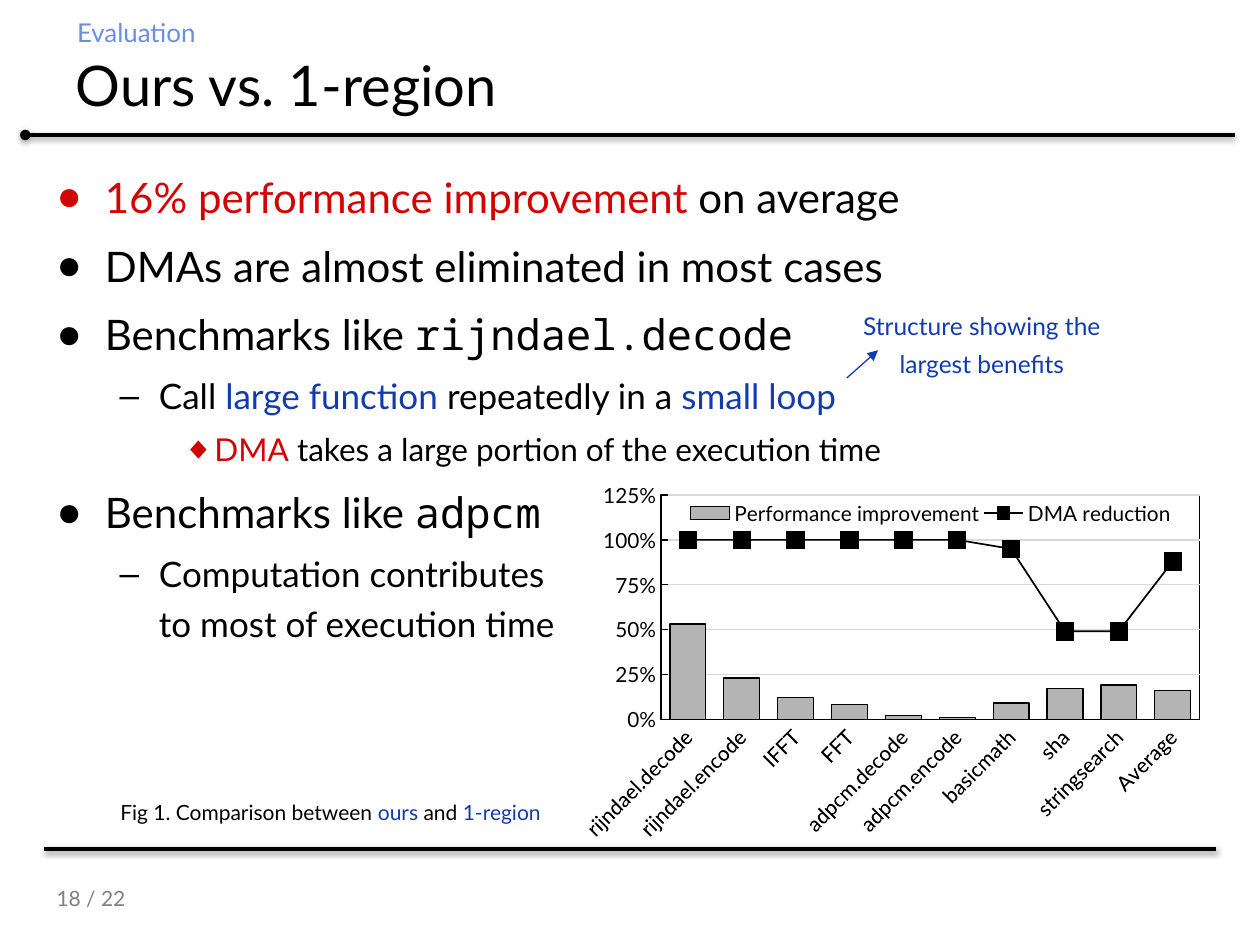
"""Build the evaluation slide comparing ours with the 1-region scheme."""
import lxml.etree
import pptx
import pptx.chart.data
import pptx.dml.color
import pptx.enum.chart
import pptx.enum.shapes
import pptx.enum.text
import pptx.oxml
import pptx.oxml.ns
import pptx.util

Cm, Pt = pptx.util.Cm, pptx.util.Pt
qn = pptx.oxml.ns.qn
SubElement = lxml.etree.SubElement
BLACK, RED, BLUE = "000000", "D30303", "123BAE"
SANS, MONO = "Lato", "Noto Sans Mono"


def rgb(code):
    return pptx.dml.color.RGBColor.from_string(code)


def add_runs(para, size, pieces):
    for words, color, font in pieces:
        for number, line in enumerate(words.split("\n")):
            if number:
                para.add_line_break()
                SubElement(para._p[-1], qn("a:rPr"), sz=str(size * 100))
            span = para.add_run()
            span.text = line
            span.font.size = Pt(size)
            span.font.name = font
            span.font.color.rgb = rgb(color)


deck = pptx.Presentation()
deck.slide_width, deck.slide_height = Cm(25.4), Cm(19.05)
slide = deck.slides.add_slide(deck.slide_layouts[3])
title, section, body = slide.placeholders

connectors = [
    (0.51, 2.72, 24.89, 2.72, BLACK, 2, "headEnd", "oval"),
    (24.51, 17.12, 0.89, 17.12, BLACK, 2, None, None),
    (17.07, 7.62, 17.7, 7.06, BLUE, 0.75, "tailEnd", "triangle"),
]
for x1, y1, x2, y2, color, width, end, head in connectors:
    line = slide.shapes.add_connector(
        pptx.enum.shapes.MSO_CONNECTOR.STRAIGHT, Cm(x1), Cm(y1), Cm(x2), Cm(y2))
    line.line.color.rgb = rgb(color)
    line.line.width = Pt(width)
    if end:
        SubElement(line.line._get_or_add_ln(), qn(f"a:{end}"), type=head)
    effects = SubElement(line._element.spPr, qn("a:effectLst"))
    if color == BLACK:
        shadow = SubElement(effects, qn("a:outerShdw"), blurRad=str(Pt(3.1)),
                            dist=str(Pt(1)), dir="5400000", rotWithShape="0")
        shade = SubElement(shadow, qn("a:srgbClr"), val=BLACK)
        SubElement(shade, qn("a:alpha"), val="38000")

placed = [
    (title, 1.27, 0.91, 22.86, 1.57),
    (section, 1.3, 0.2, 14.6, 0.91),
    (body, 0.89, 3.12, 22.81, 14),
]
for holder, left, top, width, height in placed:
    holder.left, holder.top = Cm(left), Cm(top)
    holder.width, holder.height = Cm(width), Cm(height)
    holder.text_frame.auto_size = pptx.enum.text.MSO_AUTO_SIZE.NONE
    holder.text_frame.word_wrap = True

title.text_frame.vertical_anchor = pptx.enum.text.MSO_ANCHOR.MIDDLE
heading = title.text_frame.paragraphs[0]
heading.alignment = pptx.enum.text.PP_ALIGN.LEFT
add_runs(heading, 32, [("Ours vs. 1-region", BLACK, SANS)])

label = section.text_frame.paragraphs[0]
label.space_before = Pt(0)
properties = label._p.get_or_add_pPr()
properties.set("marL", "0")
properties.set("indent", "0")
SubElement(properties, qn("a:buNone"))
add_runs(label, 14.8, [("Evaluation", "6A8FE2", SANS)])

levels = [(24, 0.97, 0.97, "●"), (20, 2.06, 0.79, "–"), (18, 3.18, 0.64, "◆")]
points = [
    (0, [("16% performance improvement ", RED, SANS), ("on average", BLACK, SANS)]),
    (0, [("DMAs are almost eliminated in most cases", BLACK, SANS)]),
    (0, [("Benchmarks like ", BLACK, SANS), ("rijndael.decode", BLACK, MONO)]),
    (1, [("Call ", BLACK, SANS), ("large function ", BLUE, SANS),
         ("repeatedly in a ", BLACK, SANS), ("small loop", BLUE, SANS)]),
    (2, [("DMA", RED, SANS),
         (" takes a large portion of the execution time", BLACK, SANS)]),
    (0, [("Benchmarks like ", BLACK, SANS), ("adpcm", BLACK, MONO)]),
    (1, [("Computation contributes \nto most of execution time", BLACK, SANS)]),
]
for number, (level, pieces) in enumerate(points):
    frame = body.text_frame
    para = frame.add_paragraph() if number else frame.paragraphs[0]
    size, margin, hanging, bullet = levels[level]
    para.level = level
    para.line_spacing = 1.2
    para.space_before = Pt(size * 0.2 if number else 0)
    properties = para._p.get_or_add_pPr()
    properties.set("marL", str(Cm(margin)))
    properties.set("indent", str(-Cm(hanging)))
    SubElement(properties, qn("a:buChar"), char=bullet)
    add_runs(para, size, pieces)

align = pptx.enum.text.PP_ALIGN
boxes = [
    (0.89, 17.73, 1.98, 0.76, False, align.LEFT, 1, 12, [("18 / 22", "808080", SANS)]),
    (1.9, 16, 9.25, 0.76, True, align.RIGHT, 1, 12,
     [("Fig 1. Comparison between ", BLACK, SANS), ("ours", BLUE, SANS),
      (" and ", BLACK, SANS), ("1-region", BLUE, SANS)]),
    (17.09, 5.97, 5.41, 1.8, True, align.CENTER, 1.3, 14,
     [("Structure showing the largest benefits", BLUE, SANS)]),
]
for left, top, width, height, wrap, alignment, spacing, size, pieces in boxes:
    box = slide.shapes.add_textbox(Cm(left), Cm(top), Cm(width), Cm(height))
    box.text_frame.word_wrap = wrap
    para = box.text_frame.paragraphs[0]
    para.alignment = alignment
    para.line_spacing = spacing
    add_runs(para, size, pieces)

data = pptx.chart.data.CategoryChartData(number_format="0%")
data.categories = ["rijndael.decode", "rijndael.encode", "IFFT", "FFT", "adpcm.decode",
                   "adpcm.encode", "basicmath", "sha", "stringsearch", "Average"]
data.add_series("Performance improvement",
                [0.53, 0.23, 0.12, 0.08, 0.02, 0.01, 0.09, 0.17, 0.19, 0.16])
data.add_series("DMA reduction", [1, 1, 1, 1, 1, 1, 0.95, 0.49, 0.49, 0.88])
chart = slide.shapes.add_chart(
    pptx.enum.chart.XL_CHART_TYPE.COLUMN_CLUSTERED,
    Cm(11.71), Cm(9.73), Cm(12.6), Cm(7.32), data).chart
chart.has_title = False
chart.font.size = Pt(12)
chart.font.name = SANS
chart.font.color.rgb = rgb(BLACK)
chart.has_legend = True
chart.legend.position = pptx.enum.chart.XL_LEGEND_POSITION.TOP
chart.legend.include_in_layout = True
chart.legend.font.size = Pt(12)
chart.legend.font.name = SANS
chart.legend.font.color.rgb = rgb(BLACK)

bars = chart.plots[0]
bars.gap_width = 50
bars.vary_by_categories = False
bar_xml = bars._element
line_xml = lxml.etree.Element(qn("c:lineChart"))
SubElement(line_xml, qn("c:grouping"), val="standard")
SubElement(line_xml, qn("c:varyColors"), val="0")
reduction_xml = bar_xml.findall(qn("c:ser"))[1]
for flag in reduction_xml.findall(qn("c:invertIfNegative")):
    reduction_xml.remove(flag)
line_xml.append(reduction_xml)
SubElement(line_xml, qn("c:marker"), val="1")
for axis_id in bar_xml.findall(qn("c:axId")):
    SubElement(line_xml, qn("c:axId"), val=axis_id.get("val"))
bar_xml.addnext(pptx.oxml.parse_xml(lxml.etree.tostring(line_xml)))

improvement = bars.series[0]
improvement.format.fill.solid()
improvement.format.fill.fore_color.rgb = rgb("B4B4B4")
improvement.format.line.color.rgb = rgb(BLACK)
improvement.format.line.width = Pt(0.75)
reduction = chart.plots[1].series[0]
reduction.smooth = False
reduction.format.line.color.rgb = rgb(BLACK)
reduction.format.line.width = Pt(1)
reduction.marker.style = pptx.enum.chart.XL_MARKER_STYLE.SQUARE
reduction.marker.size = 10
reduction.marker.format.fill.solid()
reduction.marker.format.fill.fore_color.rgb = rgb(BLACK)
reduction.marker.format.line.fill.background()

ticks = pptx.enum.chart.XL_TICK_MARK
for axis, mark in ((chart.category_axis, ticks.NONE), (chart.value_axis, ticks.INSIDE)):
    axis.major_tick_mark = mark
    axis.minor_tick_mark = ticks.NONE
    axis.format.line.color.rgb = rgb(BLACK)
    axis.format.line.width = Pt(0.75)
    axis.tick_labels.font.size = Pt(12)
    axis.tick_labels.font.name = SANS
    axis.tick_labels.font.color.rgb = rgb(BLACK)
chart.category_axis._element.find(qn("c:txPr")).find(qn("a:bodyPr")).set("rot", "-2700000")
scale = chart.value_axis
scale.minimum_scale, scale.maximum_scale, scale.major_unit = 0, 1.25, 0.25
scale.tick_labels.number_format = "0%"
scale.tick_labels.number_format_is_linked = False
scale.major_gridlines.format.line.color.rgb = rgb("D9D9D9")
scale.major_gridlines.format.line.width = Pt(0.75)

plot_area = chart._chartSpace.chart.plotArea
border = SubElement(SubElement(plot_area, qn("c:spPr")), qn("a:ln"), w=str(Pt(0.75)))
SubElement(SubElement(border, qn("a:solidFill")), qn("a:srgbClr"), val=BLACK)
layouts = [(plot_area, 0, (0.12, 0.03, 0.87, 0.62)),
           (chart.legend._element, 1, (0.16, 0.04, 0.79, 0.08))]
for parent, index, fractions in layouts:
    for old in parent.findall(qn("c:layout")):
        parent.remove(old)
    layout = lxml.etree.Element(qn("c:layout"))
    manual = SubElement(layout, qn("c:manualLayout"))
    if parent is plot_area:
        SubElement(manual, qn("c:layoutTarget"), val="inner")
    for mode in ("xMode", "yMode"):
        SubElement(manual, qn(f"c:{mode}"), val="edge")
    for side, fraction in zip("xywh", fractions):
        SubElement(manual, qn(f"c:{side}"), val=str(fraction))
    parent.insert(index, layout)

deck.save("out.pptx")
